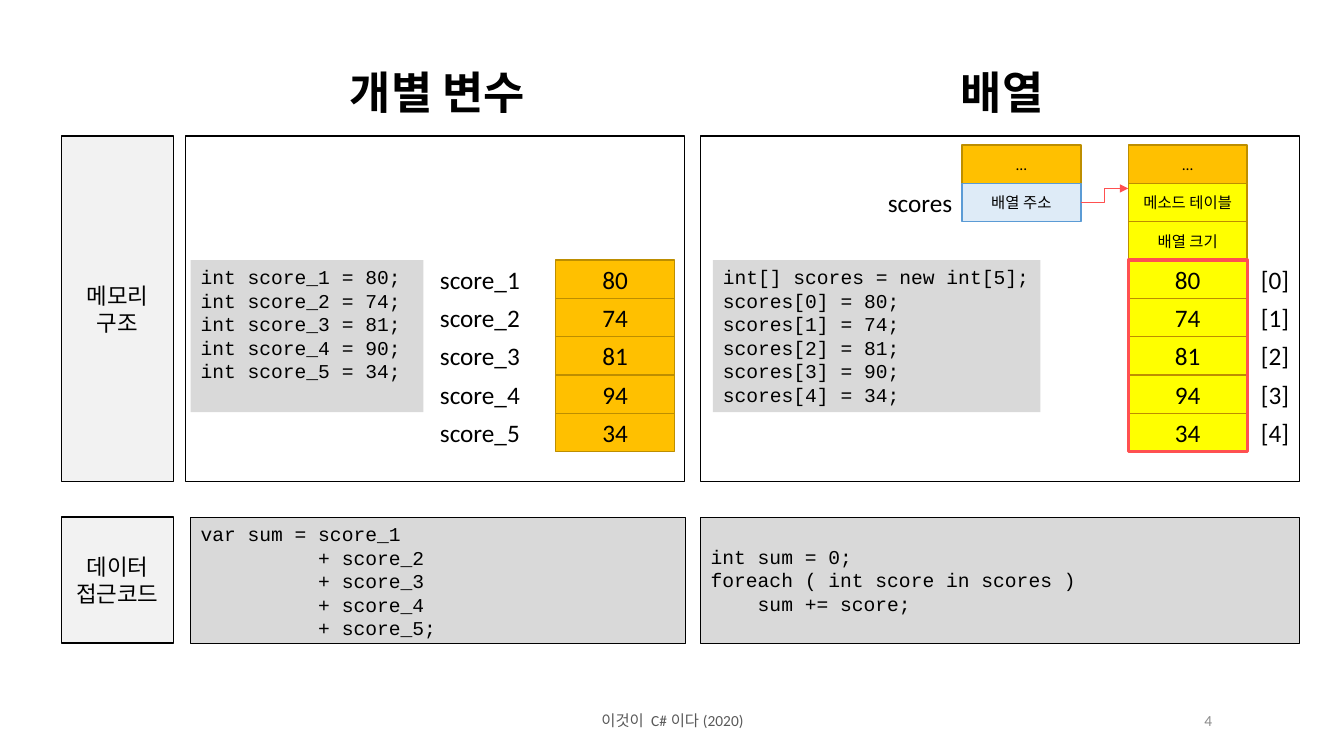
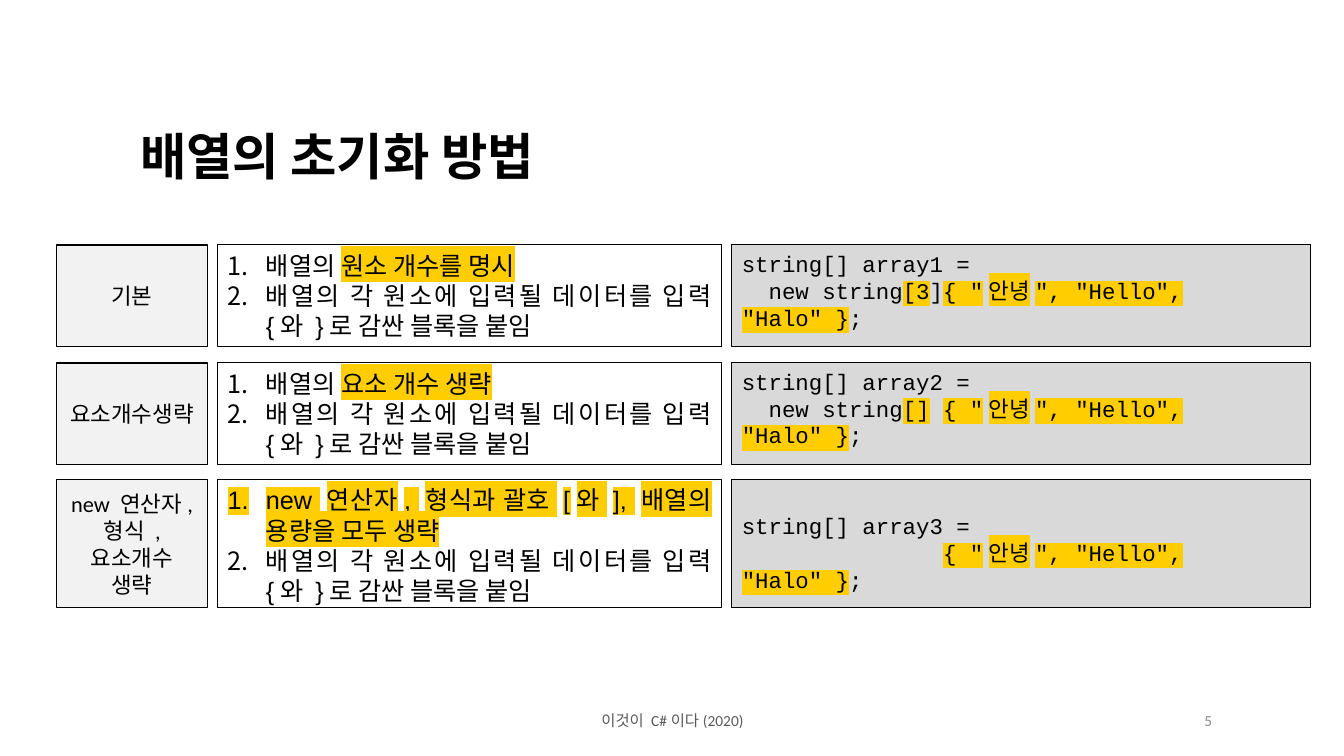
from lxml import etree
from pptx import Presentation
from pptx.dml.color import RGBColor
from pptx.enum.shapes import MSO_CONNECTOR, MSO_SHAPE
from pptx.enum.text import MSO_ANCHOR, PP_ALIGN
from pptx.oxml.ns import qn
from pptx.util import Inches, Pt

RECTANGLE = MSO_SHAPE.RECTANGLE
ELBOW = MSO_CONNECTOR.ELBOW
LEFT, CENTER, RIGHT, JUSTIFY = (PP_ALIGN.LEFT, PP_ALIGN.CENTER,
                                PP_ALIGN.RIGHT, PP_ALIGN.JUSTIFY)
TOP, MIDDLE = MSO_ANCHOR.TOP, MSO_ANCHOR.MIDDLE
RIGHT_SIDE = 3

# Shared look
BLACK, WHITE = "000000", "FFFFFF"
CODE_GRAY, LABEL_GRAY = "D9D9D9", "F2F2F2"
FOOTER_GRAY, NUMBER_GRAY = "595959", "8C8C8C"
ORANGE, YELLOW, CELL_LINE = "FFC000", "FFFF00", "BD8E00"
ADDRESS_FILL, ADDRESS_LINE = "DEEBF7", "5B9BD5"
RED, HIGHLIGHT = "FF5050", "FFCD00"
BODY_FONT, LIST_FONT = "Calibri", "Arial"
CODE_FONT, TITLE_FONT = "Courier New", "TeX Gyre Pagella"
FOOTER_TEXT = "이것이 C#이다(2020)"
CELL_WIDTH, CELL_HEIGHT = 1.18, 0.38
SCORES = ["80", "74", "81", "94", "34"]


def color(value):
    return RGBColor.from_string(value)


def add_highlight(run):
    """Mark a run; the highlight belongs right after the text fill."""
    highlight = etree.Element(qn("a:highlight"))
    etree.SubElement(highlight, qn("a:srgbClr"), val=HIGHLIGHT)
    run.font.fill._xPr.find(qn("a:solidFill")).addnext(highlight)


def add_number(paragraph):
    properties = paragraph._p.get_or_add_pPr()
    indent = Inches(0.38)
    properties.set("marL", str(indent))
    properties.set("indent", str(-indent))
    etree.SubElement(properties, qn("a:buFont"), typeface="+mj-lt")
    etree.SubElement(properties, qn("a:buAutoNum"), type="arabicPeriod")


def write(shape, paragraphs, size=18, font=BODY_FONT, text_color=BLACK,
          bold=False, align=CENTER, anchor=MIDDLE, insets=(0.1, 0.05, 0.1, 0.05),
          numbered=False, spacing=None):
    """Each paragraph is a string, or a tuple whose odd parts are highlighted."""
    frame = shape.text_frame
    frame.word_wrap = True
    frame.vertical_anchor = anchor
    (frame.margin_left, frame.margin_top,
     frame.margin_right, frame.margin_bottom) = map(Inches, insets)
    for index, parts in enumerate(paragraphs):
        paragraph = frame.add_paragraph() if index else frame.paragraphs[0]
        paragraph.alignment = align
        if spacing:
            paragraph.line_spacing = spacing
        if numbered:
            add_number(paragraph)
        parts = (parts,) if isinstance(parts, str) else parts
        for position, text in enumerate(parts):
            if not text:
                continue
            run = paragraph.add_run()
            run.text = text
            run.font.size = Pt(size)
            run.font.bold = bold
            run.font.color.rgb = color(text_color)
            run.font.name = font
            if position % 2:
                add_highlight(run)


def add_text(slide, box, paragraphs, **style):
    shape = slide.shapes.add_textbox(*map(Inches, box))
    write(shape, paragraphs, **style)
    return shape


def add_box(slide, box, fill=None, line=None, line_width=1, paragraphs=(), **style):
    shape = slide.shapes.add_shape(RECTANGLE, *map(Inches, box))
    shape.shadow.inherit = False
    if fill:
        shape.fill.solid()
        shape.fill.fore_color.rgb = color(fill)
    else:
        shape.fill.background()
    if line:
        shape.line.color.rgb = color(line)
        shape.line.width = Pt(line_width)
    else:
        shape.line.fill.background()
    if paragraphs:
        write(shape, paragraphs, **style)
    return shape


def add_code(slide, box, lines, line=None, size=14, anchor=TOP, **style):
    return add_box(slide, box, CODE_GRAY, line, 0.75, lines, size=size,
                   font=CODE_FONT, align=LEFT, anchor=anchor, **style)


def add_row_label(slide, box, lines, **style):
    return add_box(slide, box, LABEL_GRAY, BLACK, 1, lines, size=16, **style)


def add_cell(slide, left, top, text, fill, size=18, line=CELL_LINE):
    return add_box(slide, (left, top, CELL_WIDTH, CELL_HEIGHT), fill, line, 1,
                   [text], size=size)


def add_captions(slide, left, top, width, captions):
    for index, caption in enumerate(captions):
        add_text(slide, (left, top + index * CELL_HEIGHT, width, CELL_HEIGHT), [caption])


def add_arrow(slide, source, end):
    """Elbow arrow from the right side of a shape to a point."""
    connector = slide.shapes.add_connector(
        ELBOW, source.left + source.width, source.top + source.height // 2,
        *map(Inches, end))
    connector.begin_connect(source, RIGHT_SIDE)
    connector.line.color.rgb = color(RED)
    connector.line.width = Pt(0.5)
    etree.SubElement(connector.line._get_or_add_ln(), qn("a:tailEnd"), type="triangle")
    etree.SubElement(connector._element.spPr, qn("a:effectLst"))


def new_slide(presentation, number):
    slide = presentation.slides.add_slide(presentation.slide_layouts[6])
    add_text(slide, (4.42, 6.95, 4.5, 0.4), [FOOTER_TEXT], size=11, text_color=FOOTER_GRAY)
    add_text(slide, (9.42, 6.95, 2.7, 0.4), [str(number)], size=11,
             text_color=NUMBER_GRAY, align=RIGHT)
    return slide


def variables_panel(slide, left, top, width, height):
    """Five separate variables in memory."""
    add_box(slide, (left, top, width, height), WHITE, BLACK)
    cells_top = top + 1.23
    values = ["80", "74", "81", "90", "34"]
    add_code(slide, (left + 0.05, cells_top, 2.31, 1.51),
             [f"int score_{index} = {value};" for index, value in enumerate(values, 1)])
    for index, score in enumerate(SCORES):
        add_cell(slide, left + 3.67, cells_top + index * CELL_HEIGHT, score, ORANGE)
    add_captions(slide, left + 2.17, cells_top, 1.5,
                 [f"score_{index}" for index in range(1, 6)])


def array_panel(slide, left, top, width, height):
    """One array: its address, header and elements."""
    add_box(slide, (left, top, width, height), WHITE, BLACK)
    stack_top = top + 0.09
    cells_top = stack_top + 3 * CELL_HEIGHT
    values = ["80", "74", "81", "90", "34"]
    add_code(slide, (left + 0.12, cells_top, 3.25, 1.51),
             ["int[] scores = new int[5];"]
             + [f"scores[{index}] = {value};" for index, value in enumerate(values)])

    # Variable holding the address
    address_left, address_top = left + 2.59, stack_top + CELL_HEIGHT
    add_cell(slide, address_left, stack_top, "…", ORANGE, 11)
    address = add_cell(slide, address_left, address_top, "배열 주소",
                       ADDRESS_FILL, 11, ADDRESS_LINE)
    add_captions(slide, address_left - 0.85, address_top, 0.87, ["scores"])

    # Array object
    array_left = left + 4.24
    stack = [("…", ORANGE, 11), ("메소드 테이블", YELLOW, 11), ("배열 크기", YELLOW, 11)]
    stack += [(score, YELLOW, 18) for score in SCORES]
    for index, (text, fill, size) in enumerate(stack):
        add_cell(slide, array_left, stack_top + index * CELL_HEIGHT, text, fill, size)
    add_box(slide, (array_left, cells_top, CELL_WIDTH, 5 * CELL_HEIGHT),
            line=RED, line_width=2.25)
    add_captions(slide, array_left + 1.06, cells_top, 0.79,
                 [f"[{index}]" for index in range(5)])
    add_arrow(slide, address, (array_left, address_top + 0.05))


def comparison_slide(presentation, number):
    slide = new_slide(presentation, number)
    for left, title in ((3.29, "개별 변수"), (8.89, "배열")):
        add_text(slide, (left, 0.59, 2.1, 0.64), [title], size=32,
                 font=TITLE_FONT, bold=True, anchor=TOP)

    # Memory layout row
    memory_top, memory_height = 1.35, 3.43
    add_row_label(slide, (0.61, memory_top, 1.11, memory_height), ["메모리", "구조"])
    variables_panel(slide, 1.84, memory_top, 4.95, memory_height)
    array_panel(slide, 6.95, memory_top, 5.94, memory_height)

    # Access code row
    access_top, access_height = 5.13, 1.25
    add_row_label(slide, (0.61, access_top, 1.11, access_height), ["데이터", "접근코드"])
    add_code(slide, (1.89, access_top, 4.91, access_height),
             ["var sum = score_1",
              "          + score_2",
              "          + score_3",
              "          + score_4",
              "          + score_5;"], BLACK)
    add_code(slide, (6.95, access_top, 5.94, access_height),
             ["int sum = 0;",
              "foreach ( int score in scores )",
              "    sum += score;"], BLACK, anchor=MIDDLE)


def method_row(slide, left, top, height, label, rule, code, code_inset=0.05):
    """Label, numbered rules and sample code of one way to initialise."""
    block_rule = "배열의 각 원소에 입력될 데이터를 입력 {와 }로 감싼 블록을 붙임"
    add_row_label(slide, (left, top, 1.5, height), label, insets=(0, 0.05, 0, 0.05))
    add_box(slide, (left + 1.6, top, 5, height), WHITE, BLACK, 0.75,
            [rule, block_rule], font=LIST_FONT, align=JUSTIFY, anchor=TOP, numbered=True)
    add_code(slide, (left + 6.7, top, 5.74, height), code, BLACK, 16,
             insets=(0.1, code_inset, 0.1, 0.05))


def initialization_slide(presentation, number):
    slide = new_slide(presentation, number)
    add_text(slide, (1.29, 1.21, 10.48, 0.85), ["배열의 초기화 방법"], size=36,
             font=TITLE_FONT, bold=True, align=LEFT, anchor=TOP,
             insets=(0.1, 0.1, 0.1, 0.1), spacing=0.9)
    values = '{ "안녕", "Hello", "Halo" }'
    left = 0.56
    method_row(slide, left, 2.43, 1.01, ["기본"],
               ("배열의 ", "원소 개수를 명시"),
               ["string[] array1 =", ("  new string", "[3", "]", values, ";")])
    method_row(slide, left, 3.6, 1.01, ["요소개수생략"],
               ("배열의 ", "요소 개수 생략"),
               ["string[] array2 =", ("  new string", "[]", " ", values, ";")])
    method_row(slide, left, 4.76, 1.27, ["new 연산자,", "형식 ,", "요소개수", "생략"],
               ("", "new 연산자, 형식과 괄호 [와 ], 배열의 용량을 모두 생략"),
               ["string[] array3 =", ("               ", values, ";")], code_inset=0.32)


def main():
    presentation = Presentation()
    presentation.slide_width = Inches(13.33)
    presentation.slide_height = Inches(7.5)
    comparison_slide(presentation, 4)
    initialization_slide(presentation, 5)
    presentation.save("out.pptx")


if __name__ == "__main__":
    main()
